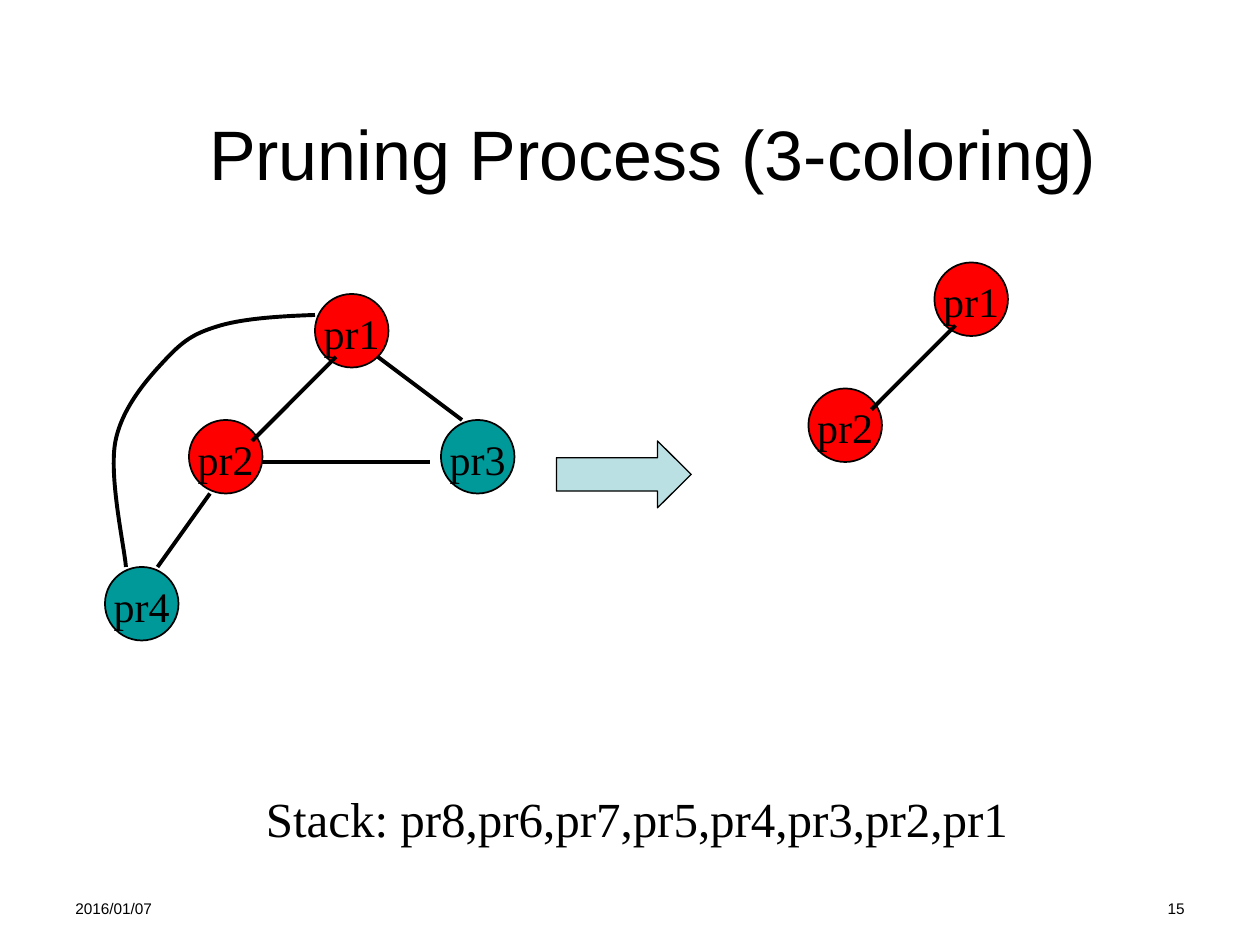
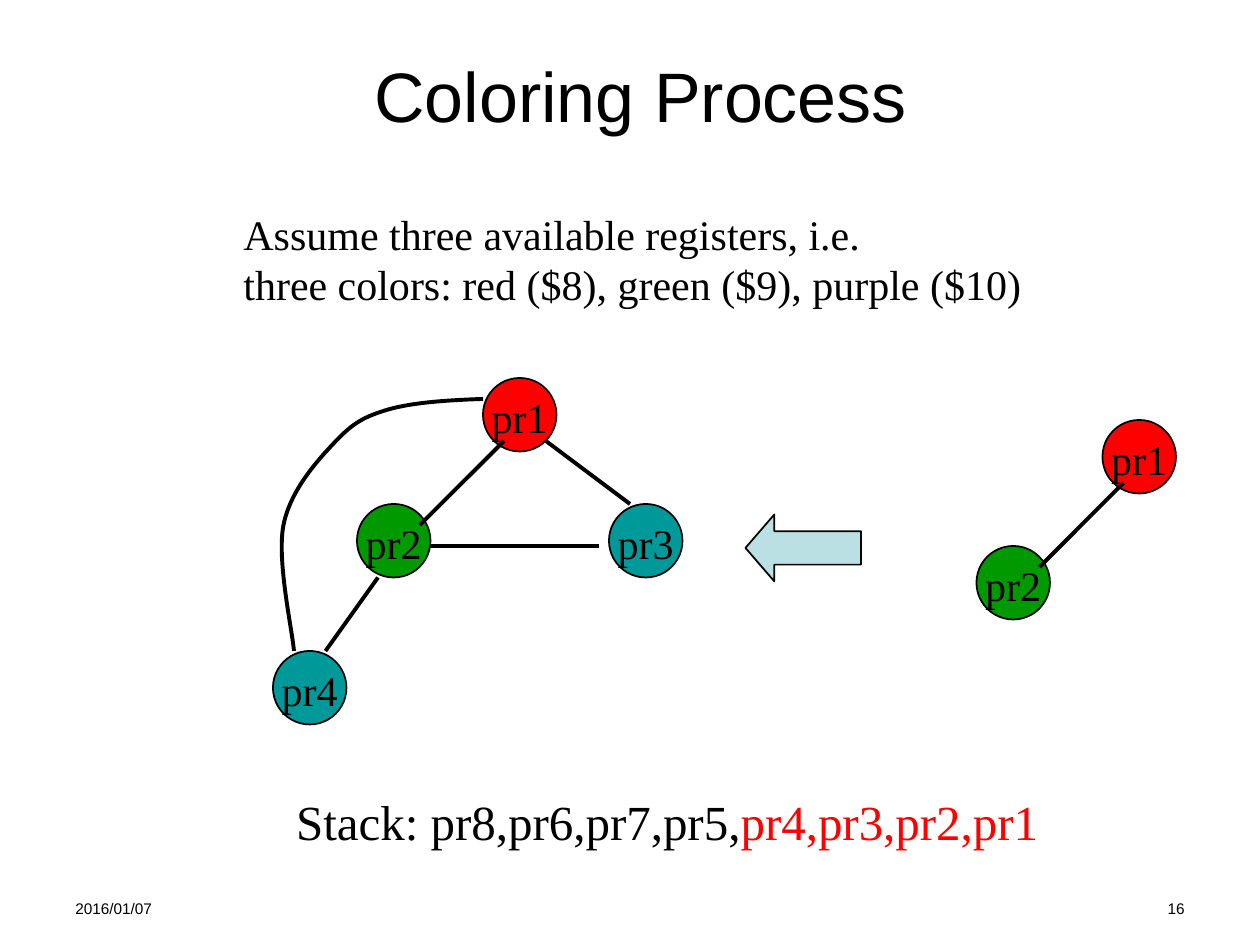
from lxml.etree import SubElement
from pptx import Presentation
from pptx.dml.color import RGBColor
from pptx.enum.shapes import MSO_CONNECTOR, MSO_SHAPE
from pptx.enum.text import MSO_ANCHOR, MSO_AUTO_SIZE, PP_ALIGN as ALIGN
from pptx.oxml.ns import qn
from pptx.util import Pt

BLACK = RGBColor(0x00, 0x00, 0x00)
RED = RGBColor(0xFF, 0x00, 0x00)
GREEN = RGBColor(0x00, 0x99, 0x00)
TEAL = RGBColor(0x00, 0x99, 0x99)
PALE = RGBColor(0xBB, 0xE0, 0xE3)
SANS, SERIF = "Arial", "Times New Roman"

NODE = 42
# Every place in a graph is an offset from the top left of pr1.
PLACES = {"pr1": (0, 0), "pr2": (-72, 72), "pr3": (72, 72), "pr4": (-120, 156)}
EDGES = {
    ("pr1", "pr2"): (12, 36, -36, 84),
    ("pr2", "pr3"): (-30, 96, 66, 96),
    ("pr2", "pr4"): (-60, 114, -90, 156),
    ("pr1", "pr3"): (36, 36, 84, 72),
}
# Start of the pr1-pr4 edge, then two handles and an end for each curve.
ARC = [(0, 12), (-20, 12.7), (-40, 14), (-54, 18),
       (-67.5, 22), (-74, 25.5), (-84, 36),
       (-94.5, 47), (-110, 64), (-114, 84),
       (-118, 104), (-109, 144), (-108, 156)]


def points(*values):
    return [Pt(v) for v in values]


def write(frame, *lines, font=SERIF, size=24, color=BLACK, align=ALIGN.LEFT,
          anchor=MSO_ANCHOR.TOP, wrap=False, spacing=None):
    """Fill a frame; a line is a string or a list of (text, color) runs."""
    frame.auto_size = MSO_AUTO_SIZE.NONE
    frame.word_wrap = wrap
    frame.vertical_anchor = anchor
    for i, line in enumerate(lines):
        para = frame.add_paragraph() if i else frame.paragraphs[0]
        para.alignment = align
        if spacing:
            para.line_spacing = Pt(spacing)
        for text, tint in [(line, color)] if isinstance(line, str) else line:
            run = para.add_run()
            run.text = text
            run.font.name, run.font.size = font, Pt(size)
            run.font.color.rgb = tint


def add_text(slide, box, *lines, **style):
    write(slide.shapes.add_textbox(*points(*box)).text_frame, *lines, **style)


def ink(shape, width):
    shape.line.color.rgb = BLACK
    shape.line.width = Pt(width)


def add_form(slide, kind, box, fill, width=1):
    shape = slide.shapes.add_shape(kind, *points(*box))
    shape.shadow.inherit = False
    shape.fill.solid()
    shape.fill.fore_color.rgb = fill
    ink(shape, width)
    return shape


def add_node(slide, name, left, top, fill):
    node = add_form(slide, MSO_SHAPE.OVAL, (left, top, NODE, NODE), fill)
    frame = node.text_frame
    frame.margin_top = Pt(5.6)
    write(frame, name, align=ALIGN.CENTER, anchor=MSO_ANCHOR.MIDDLE)


def add_edge(slide, *ends):
    edge = slide.shapes.add_connector(MSO_CONNECTOR.STRAIGHT, *points(*ends))
    SubElement(edge._element.spPr, qn("a:effectLst"))
    ink(edge, 2.25)


def add_arc(slide, left, top):
    spots = [points(left + x, top + y) for x, y in ARC]
    maker = slide.shapes.build_freeform(*spots[0])
    maker.add_line_segments(spots[1:], close=False)
    arc = maker.convert_to_shape()
    arc.shadow.inherit = False
    arc.fill.background()
    ink(arc, 2.25)
    # Turn each three straight steps into one cubic curve.
    route = arc._element.find(".//" + qn("a:path"))
    steps = route.findall(qn("a:lnTo"))
    for i in range(0, len(steps), 3):
        curve = SubElement(route, qn("a:cubicBezTo"))
        for step in steps[i:i + 3]:
            curve.append(step[0])
            route.remove(step)


def add_graph(slide, left, top, fills):
    """Draw the nodes named in fills, and the edges between them."""
    for name, fill in fills.items():
        x, y = PLACES[name]
        add_node(slide, name, left + x, top + y, fill)
    for (a, b), (x1, y1, x2, y2) in EDGES.items():
        if a in fills and b in fills:
            add_edge(slide, left + x1, top + y1, left + x2, top + y2)
    if "pr4" in fills:
        add_arc(slide, left, top)


def add_arrow(slide, kind, box, head, width):
    arrow = add_form(slide, kind, box, PALE, width)
    arrow.adjustments[1] = head


def add_page(deck, number, title, box):
    slide = deck.slides.add_slide(deck.slide_layouts[5])
    head = slide.shapes.title
    head.left, head.top, head.width, head.height = points(*box)
    write(head.text_frame, title, font=SANS, size=40, align=ALIGN.CENTER,
          anchor=MSO_ANCHOR.MIDDLE, wrap=True)
    for left, text, align in ((36, "2016/01/07", ALIGN.LEFT),
                              (516, str(number), ALIGN.RIGHT)):
        add_text(slide, (left, 510, 168, 19.2), text, font=SANS, size=8.8,
                 align=align, wrap=True)
    return slide


def add_stack(slide, left, top, *runs):
    add_text(slide, (left, top, 438.5, 41), list(runs), size=28,
             align=ALIGN.CENTER)


def main():
    deck = Presentation()
    deck.slide_width, deck.slide_height = points(720, 540)
    pair = {"pr1": RED, "pr2": RED}
    rest = {"pr3": TEAL, "pr4": TEAL}

    prune = add_page(deck, 15, "Pruning Process (3-coloring)",
                     (66, 54, 613.4, 66))
    add_stack(prune, 144.7, 447,
              ("Stack: pr8,pr6,pr7,pr5,pr4,pr3,pr2,pr1", BLACK))
    add_graph(prune, 534, 150, pair)
    add_arrow(prune, MSO_SHAPE.RIGHT_ARROW, (318, 252, 77, 38.2), 0.503, 0.75)
    add_graph(prune, 180, 168, pair | rest)

    pair["pr2"] = GREEN
    paint = add_page(deck, 16, "Coloring Process", (60, 18, 612, 72))
    add_arrow(paint, MSO_SHAPE.LEFT_ARROW, (426, 294, 66, 38.2), 0.432, 1)
    add_text(paint, (132, 115.5, 458.6, 64.8),
             "Assume three available registers, i.e.",
             "three colors: red ($8), green ($9), purple ($10)", spacing=28.8)
    add_stack(paint, 162, 448.5, ("Stack: pr8,pr6,pr7,pr5,", BLACK),
              ("pr4,pr3,pr2,pr1", RED))
    add_graph(paint, 630, 240, pair)
    add_graph(paint, 276, 216, pair | rest)

    deck.save("out.pptx")


if __name__ == "__main__":
    main()
